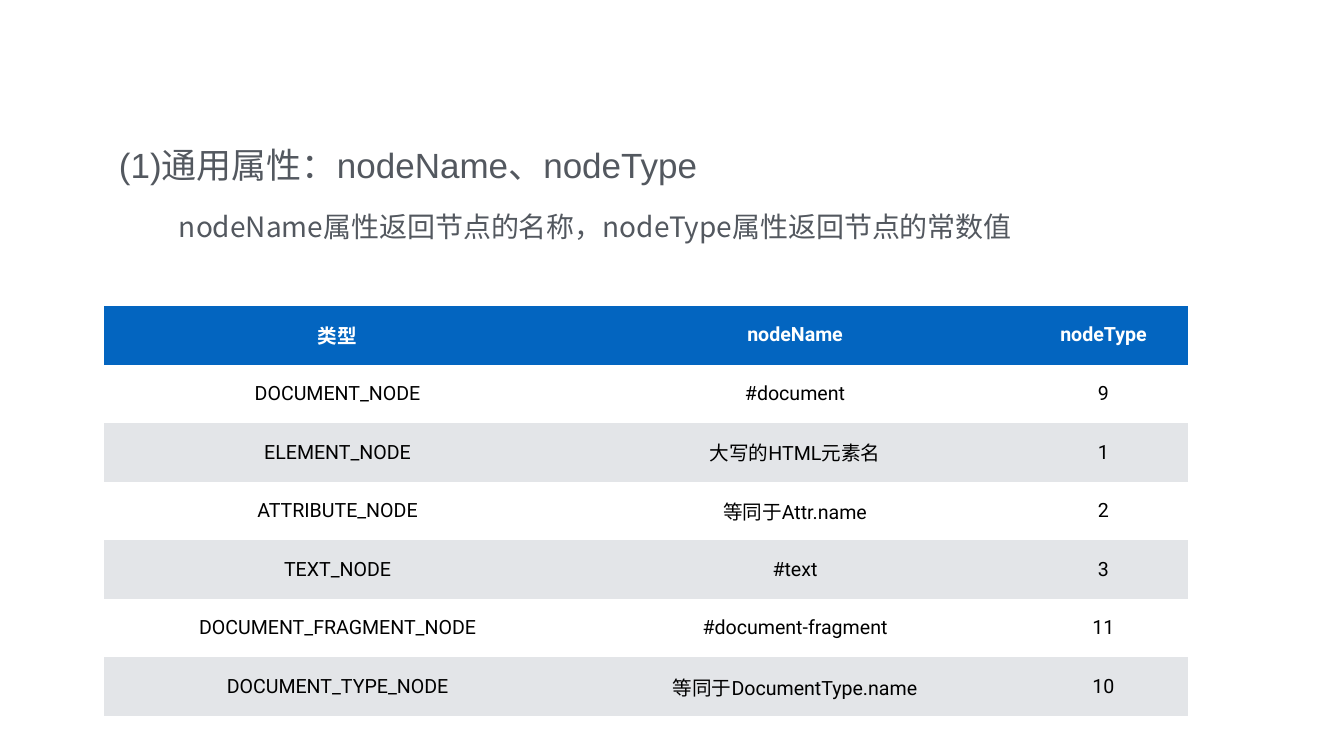
from pptx import Presentation
from pptx.dml.color import RGBColor
from pptx.enum import text as t
from pptx.util import Pt

GREY, BLUE, PALE, WHITE, BLACK = "53585F", "0365C0", "E3E5E8", "FFFFFF", "000000"
LINES = [
    ("(1)通用属性：nodeName、nodeType", (116, 140, 1110, 47), "Arial", 50, 3, 0),
    ("nodeName属性返回节点的名称，nodeType属性返回节点的常数值",
     (124, 207, 1179, 39), "Noto Sans CJK SC", 40, 5, 50),
]
ROWS = [
    ("类型", "nodeName", "nodeType"),
    ("DOCUMENT_NODE", "#document", "9"),
    ("ELEMENT_NODE", "大写的HTML元素名", "1"),
    ("ATTRIBUTE_NODE", "等同于Attr.name", "2"),
    ("TEXT_NODE", "#text", "3"),
    ("DOCUMENT_FRAGMENT_NODE", "#document-fragment", "11"),
    ("DOCUMENT_TYPE_NODE", "等同于DocumentType.name", "10"),
]
COLS = (467, 448, 169)
LEFT, TOP, HEIGHT = 104, 306, 410


def px(n):
    return round(n * 914400 / 50.4)


def paint(part, color):
    part.fill.solid()
    part.fill.fore_color.rgb = RGBColor.from_string(color)


def style(para, name, size, color, bold=False):
    for run in para.runs:
        font = run.font
        font.name, font.size, font.bold = name, Pt(size), bold
        font.color.rgb = RGBColor.from_string(color)


def inset(part, gap):
    part.margin_left = part.margin_right = px(gap)
    part.margin_top = part.margin_bottom = px(3)


def add_line(slide, words, place, name, size, gap, indent):
    frame = slide.shapes.add_textbox(*map(px, place)).text_frame
    frame.word_wrap = True
    inset(frame, gap)
    frame.text = words
    para = frame.paragraphs[0]
    if indent:
        para._p.get_or_add_pPr().set("indent", str(px(indent)))
    style(para, name, size, GREY)


def add_grid(slide):
    place = map(px, (LEFT, TOP, sum(COLS), HEIGHT))
    grid = slide.shapes.add_table(len(ROWS), len(COLS), *place).table
    for col, width in zip(grid.columns, COLS):
        col.width = px(width)
    for r, row in enumerate(ROWS):
        grid.rows[r].height = px(HEIGHT / len(ROWS))
        fill = BLUE if r == 0 else WHITE if r % 2 else PALE
        for c, words in enumerate(row):
            cell = grid.cell(r, c)
            cell.text = words
            cell.vertical_anchor = t.MSO_ANCHOR.MIDDLE
            inset(cell, 3)
            paint(cell, fill)
            para = cell.text_frame.paragraphs[0]
            para.alignment = t.PP_ALIGN.CENTER
            style(para, "Roboto", 28, BLACK if r else WHITE, r == 0)
    grid_style = grid._tbl.tblPr.find("{*}tableStyleId")
    grid_style.text = "{2D5ABB26-0587-4C30-8999-92F81FD0307C}"


def main():
    deck = Presentation()
    deck.slide_width, deck.slide_height = px(1344), px(756)
    slide = deck.slides.add_slide(deck.slide_layouts[6])
    paint(slide.background, WHITE)
    for line in LINES:
        add_line(slide, *line)
    add_grid(slide)
    deck.save("out.pptx")


if __name__ == "__main__":
    main()
